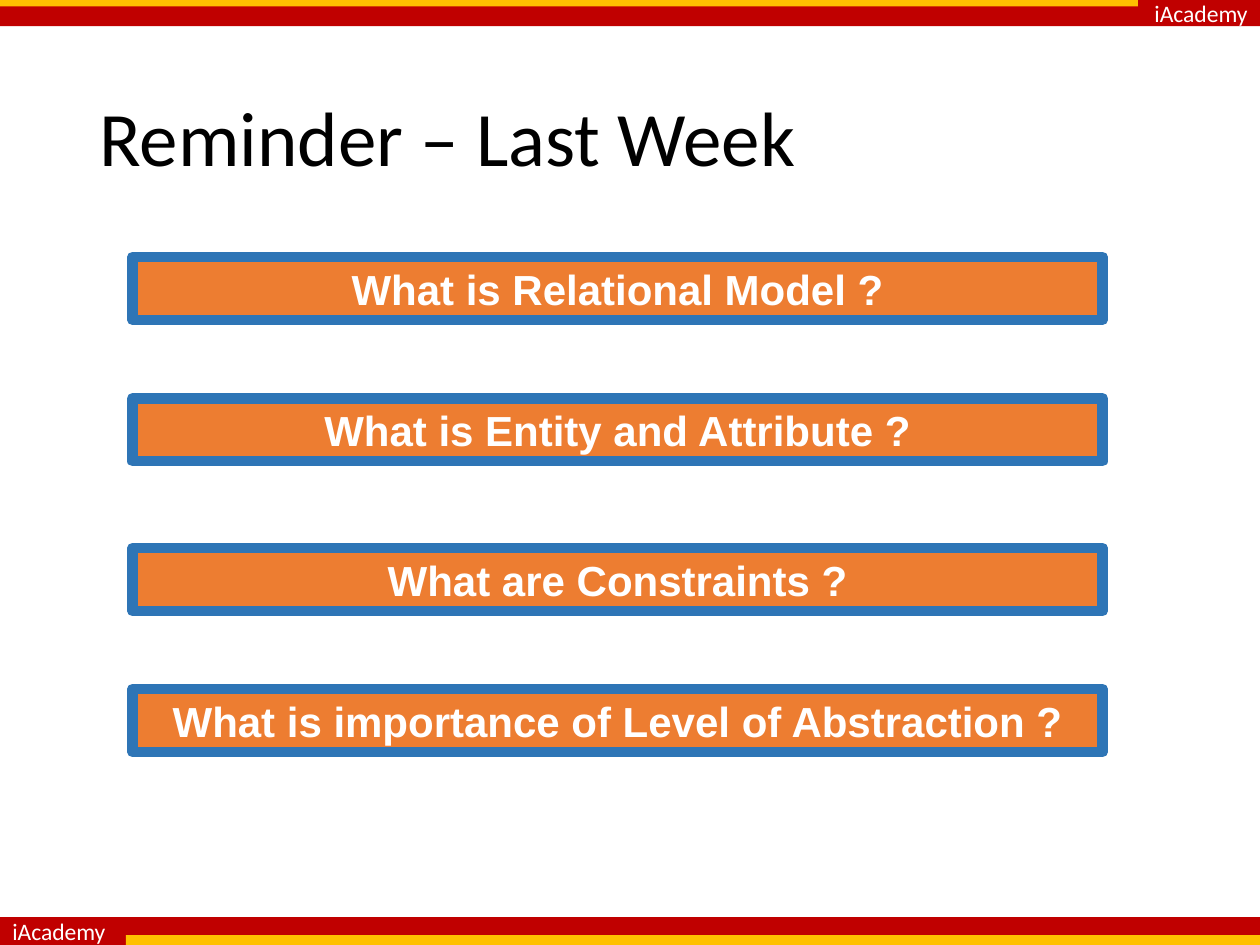
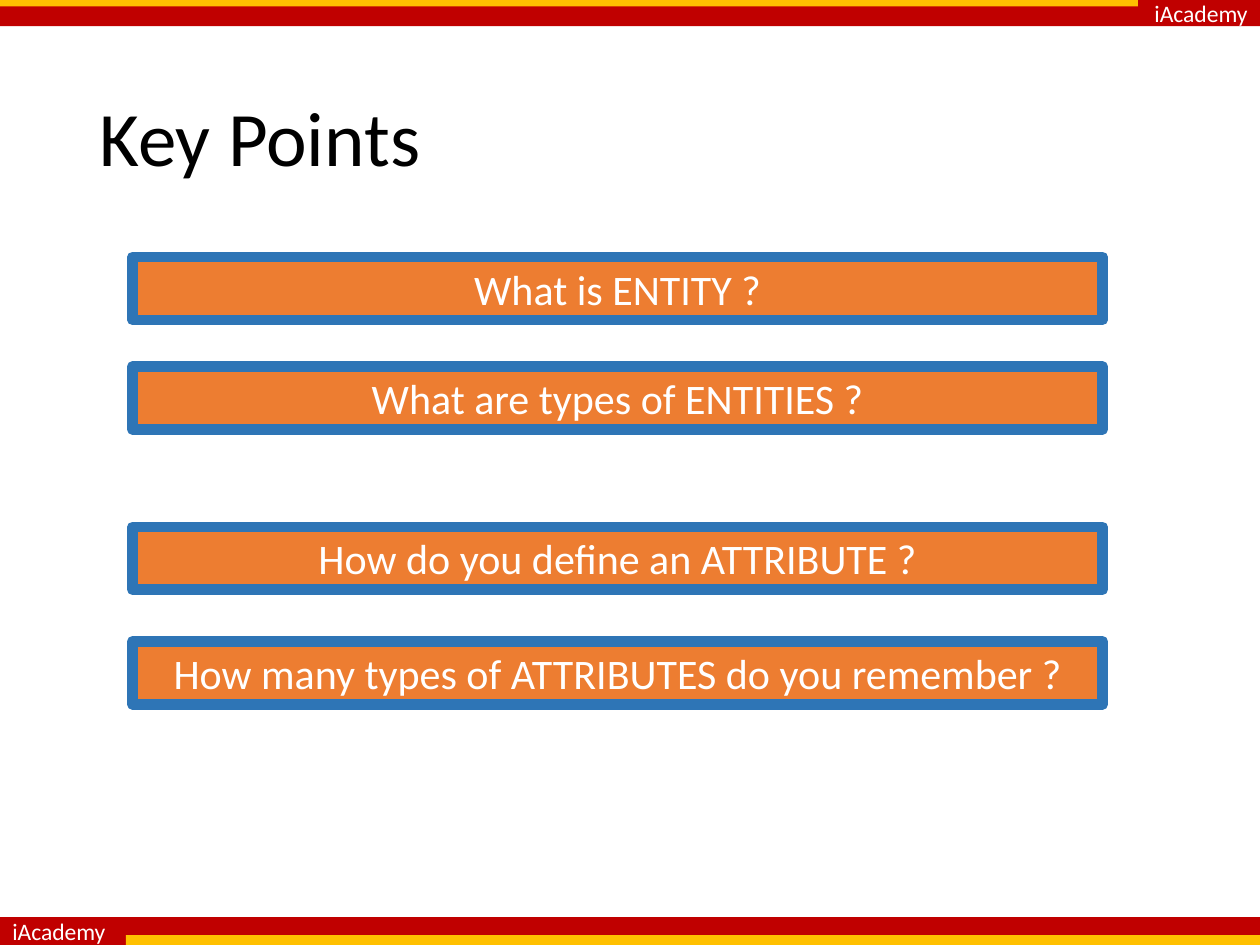
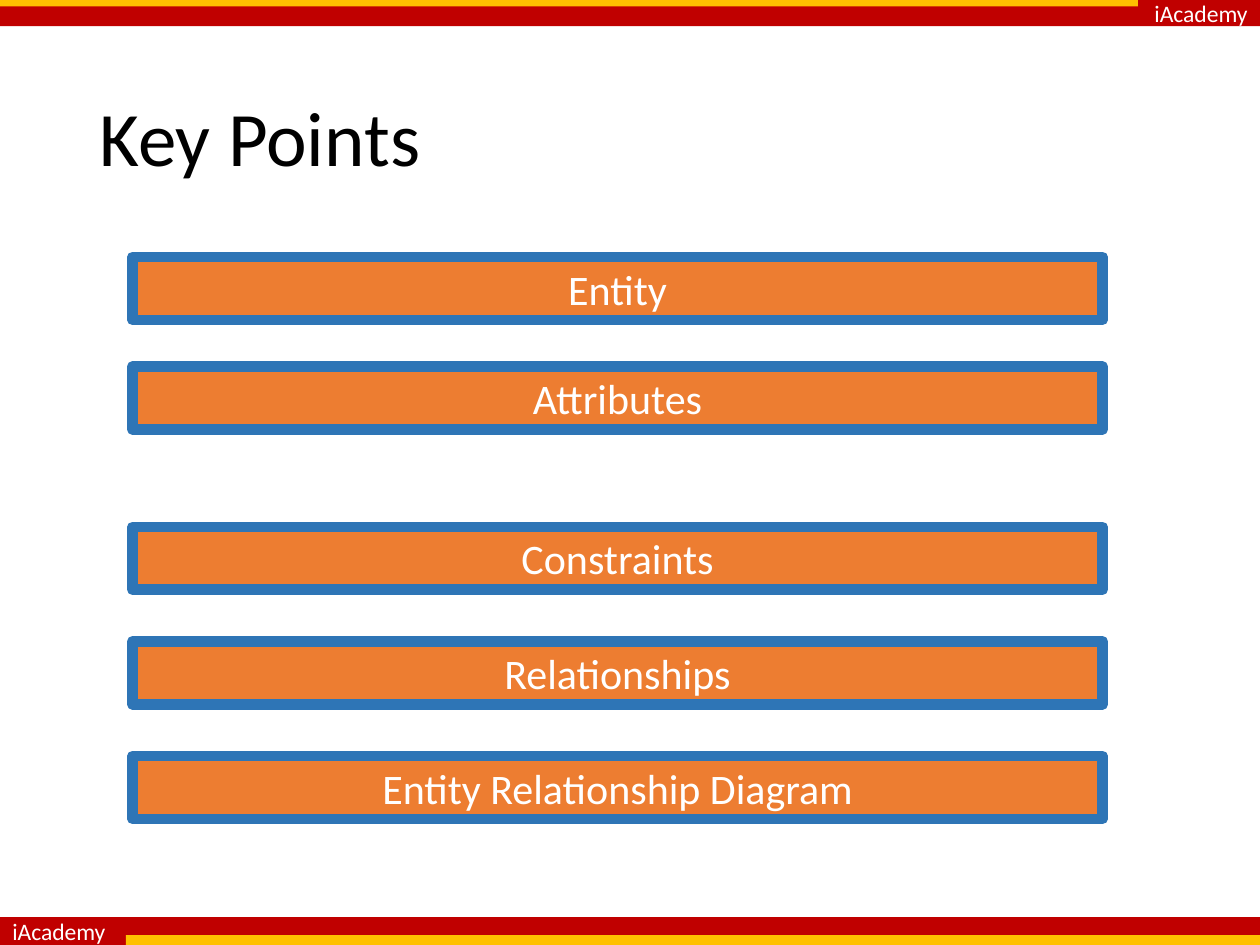
from dataclasses import dataclass

from pptx import Presentation
from pptx.dml.color import RGBColor
from pptx.enum.shapes import MSO_SHAPE
from pptx.enum.text import MSO_ANCHOR, MSO_AUTO_SIZE, PP_ALIGN
from pptx.shapes.autoshape import Shape
from pptx.slide import Slide
from pptx.util import Cm, Pt

RECTANGLE = MSO_SHAPE.RECTANGLE
TOP, MIDDLE = MSO_ANCHOR.TOP, MSO_ANCHOR.MIDDLE
LEFT, CENTER, RIGHT = PP_ALIGN.LEFT, PP_ALIGN.CENTER, PP_ALIGN.RIGHT
FIXED_SIZE, GROW_TO_TEXT = MSO_AUTO_SIZE.NONE, MSO_AUTO_SIZE.SHAPE_TO_FIT_TEXT

RED = RGBColor(0xC0, 0x00, 0x00)
GOLD = RGBColor(0xFF, 0xC0, 0x00)
ORANGE = RGBColor(0xED, 0x7D, 0x31)
BLUE = RGBColor(0x2E, 0x75, 0xB6)
WHITE = RGBColor(0xFF, 0xFF, 0xFF)
BLACK = RGBColor(0x00, 0x00, 0x00)

BODY_FONT = "Calibri"
SLIDE_WIDTH, SLIDE_HEIGHT = Cm(25.4), Cm(19.05)
TITLE_ONLY_LAYOUT = 5
BAR_LEFT, BAR_WIDTH, BAR_HEIGHT = Cm(2.67), Cm(19.56), Cm(1.27)


@dataclass(frozen=True)
class Band:
    left: Cm
    top: Cm
    width: Cm
    height: Cm
    color: RGBColor
    text: str = ""
    alignment: PP_ALIGN = LEFT


@dataclass(frozen=True)
class Bar:
    top: Cm
    text: str


@dataclass(frozen=True)
class BarSlide:
    title: str
    bars: list[Bar]
    font_name: str = BODY_FONT
    bold: bool = False


BANDS = [
    Band(Cm(0), Cm(0), SLIDE_WIDTH, Cm(0.53), RED, "iAcademy", RIGHT),
    Band(Cm(0), Cm(18.49), SLIDE_WIDTH, Cm(0.56), RED, "iAcademy"),
    Band(Cm(0), Cm(0), Cm(22.94), Cm(0.13), GOLD),
    Band(Cm(2.54), Cm(18.85), Cm(22.86), Cm(0.2), GOLD),
]

REMINDER_TOPS = [Cm(5.18), Cm(8.03), Cm(11.05), Cm(13.89)]
KEY_POINT_TOPS = [Cm(5.18), Cm(7.39), Cm(10.62), Cm(12.93), Cm(15.24)]


def stack_bars(tops: list[Cm], *texts: str) -> list[Bar]:
    """Pair each text with the next position down the slide."""
    return [Bar(top, text) for top, text in zip(tops, texts)]


SLIDES = [
    BarSlide(
        "Reminder – Last Week",
        stack_bars(
            REMINDER_TOPS,
            "What is Relational Model ?",
            "What is Entity and Attribute ?",
            "What are Constraints ?",
            "What is importance of Level of Abstraction ?",
        ),
        font_name="Arial",
        bold=True,
    ),
    BarSlide(
        "Key Points",
        stack_bars(
            KEY_POINT_TOPS,
            "What is ENTITY ?",
            "What are types of ENTITIES ?",
            "How do you define an ATTRIBUTE ?",
            "How many types of ATTRIBUTES do you remember ?",
        ),
    ),
    BarSlide(
        "Key Points",
        stack_bars(
            KEY_POINT_TOPS,
            "Entity",
            "Attributes",
            "Constraints",
            "Relationships",
            "Entity Relationship Diagram",
        ),
    ),
]


def add_rectangle(slide: Slide, left: Cm, top: Cm, width: Cm, height: Cm, color: RGBColor) -> Shape:
    shape = slide.shapes.add_shape(RECTANGLE, left, top, width, height)
    shape.shadow.inherit = False
    shape.fill.solid()
    shape.fill.fore_color.rgb = color
    return shape


def write_text(shape: Shape, text: str, size: float, color: RGBColor, alignment: PP_ALIGN,
               font_name: str = BODY_FONT, bold: bool = False) -> None:
    """Fill the shape with one paragraph in a single style."""
    paragraph = shape.text_frame.paragraphs[0]
    paragraph.text = text
    paragraph.alignment = alignment
    paragraph.font.name = font_name
    paragraph.font.size = Pt(size)
    paragraph.font.bold = bold
    paragraph.font.color.rgb = color


def add_band(slide: Slide, band: Band) -> None:
    shape = add_rectangle(slide, band.left, band.top, band.width, band.height, band.color)
    shape.line.fill.background()
    if band.text:
        shape.text_frame.word_wrap = False
        shape.text_frame.vertical_anchor = MIDDLE
        write_text(shape, band.text, 13.5, WHITE, band.alignment)


def set_title(slide: Slide, text: str) -> None:
    title = slide.shapes.title
    title.left, title.top, title.width, title.height = Cm(1.75), Cm(1.02), Cm(21.9), Cm(3.68)
    title.text_frame.vertical_anchor = MIDDLE
    title.text_frame.auto_size = FIXED_SIZE
    write_text(title, text, 44, BLACK, LEFT)
    title.text_frame.paragraphs[0].line_spacing = 0.9


def add_bar(slide: Slide, bar: Bar, font_name: str, bold: bool) -> None:
    shape = add_rectangle(slide, BAR_LEFT, bar.top, BAR_WIDTH, BAR_HEIGHT, ORANGE)
    shape.line.color.rgb = BLUE
    shape.line.width = Pt(6)
    shape.text_frame.word_wrap = True
    shape.text_frame.vertical_anchor = TOP
    shape.text_frame.auto_size = GROW_TO_TEXT
    write_text(shape, bar.text, 24, WHITE, CENTER, font_name, bold)


def main() -> None:
    presentation = Presentation()
    presentation.slide_width = SLIDE_WIDTH
    presentation.slide_height = SLIDE_HEIGHT
    layout = presentation.slide_layouts[TITLE_ONLY_LAYOUT]
    for content in SLIDES:
        slide = presentation.slides.add_slide(layout)
        for band in BANDS:
            add_band(slide, band)
        set_title(slide, content.title)
        for bar in content.bars:
            add_bar(slide, bar, content.font_name, content.bold)
    presentation.save("out.pptx")


if __name__ == "__main__":
    main()
